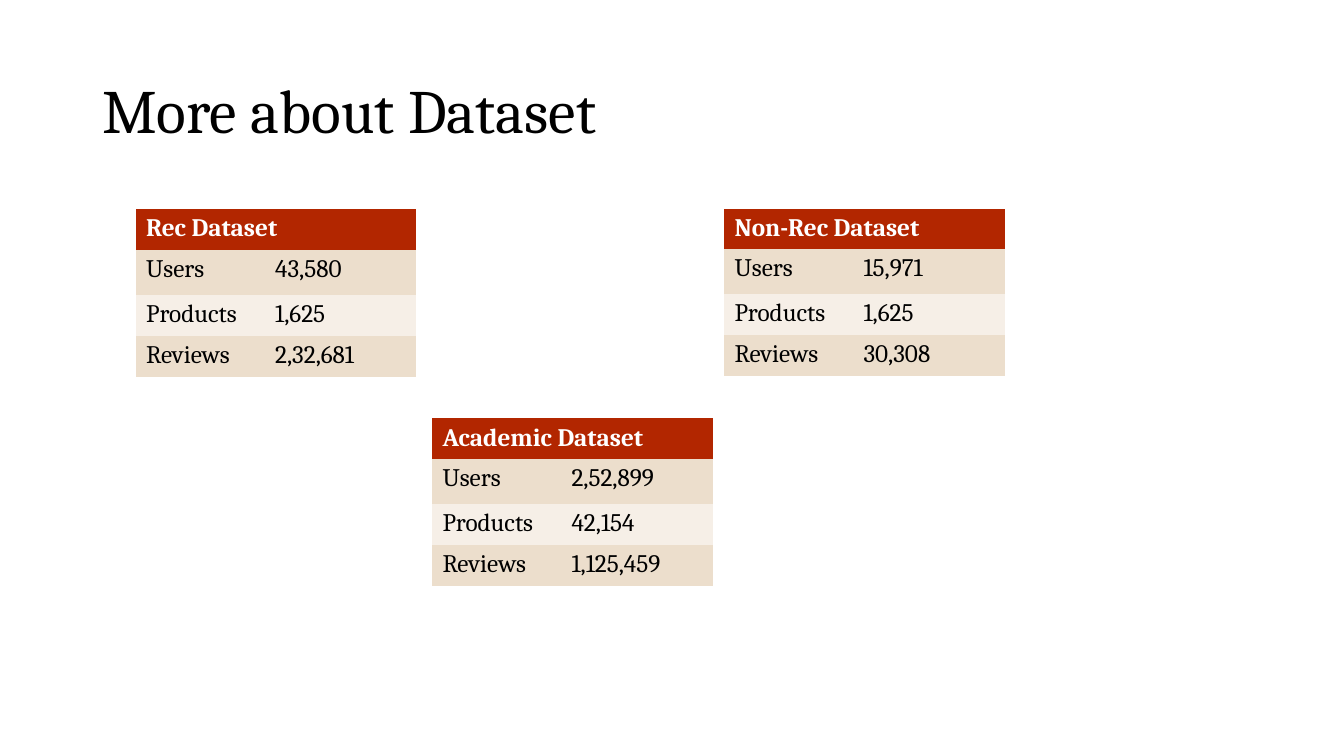
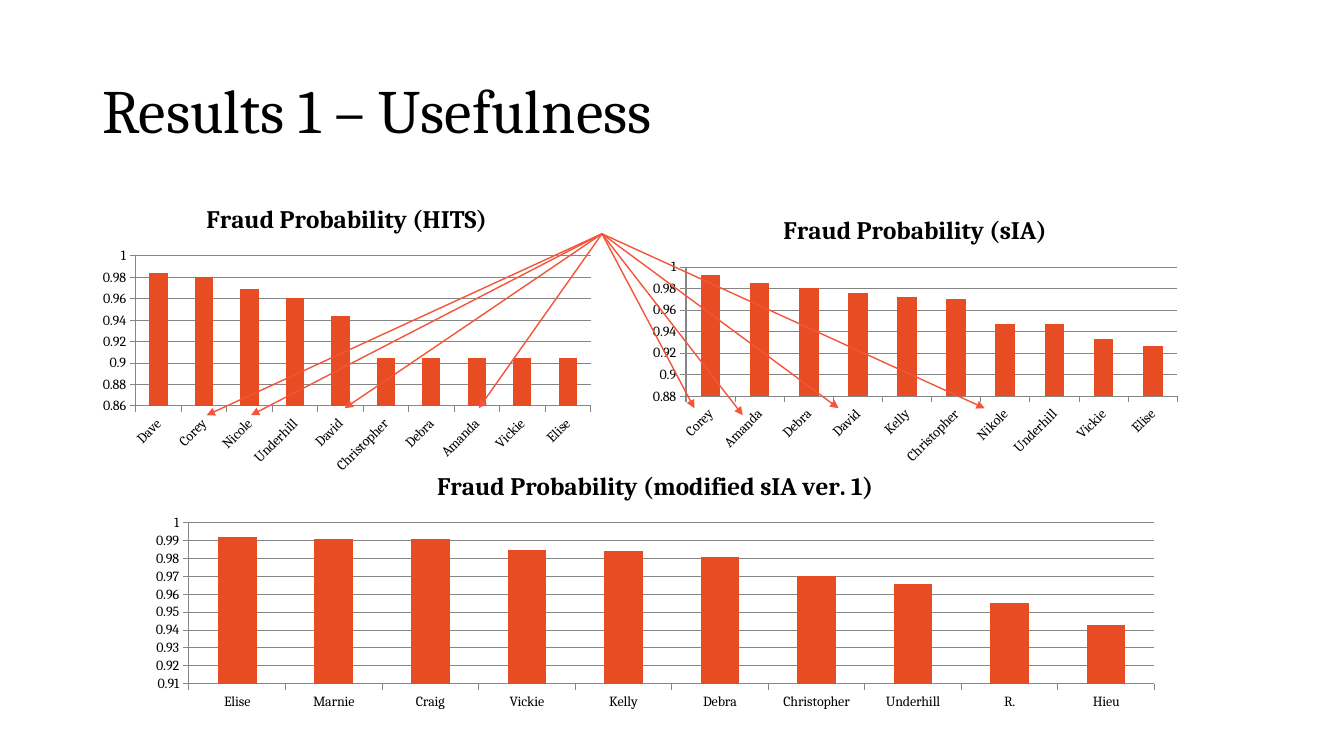
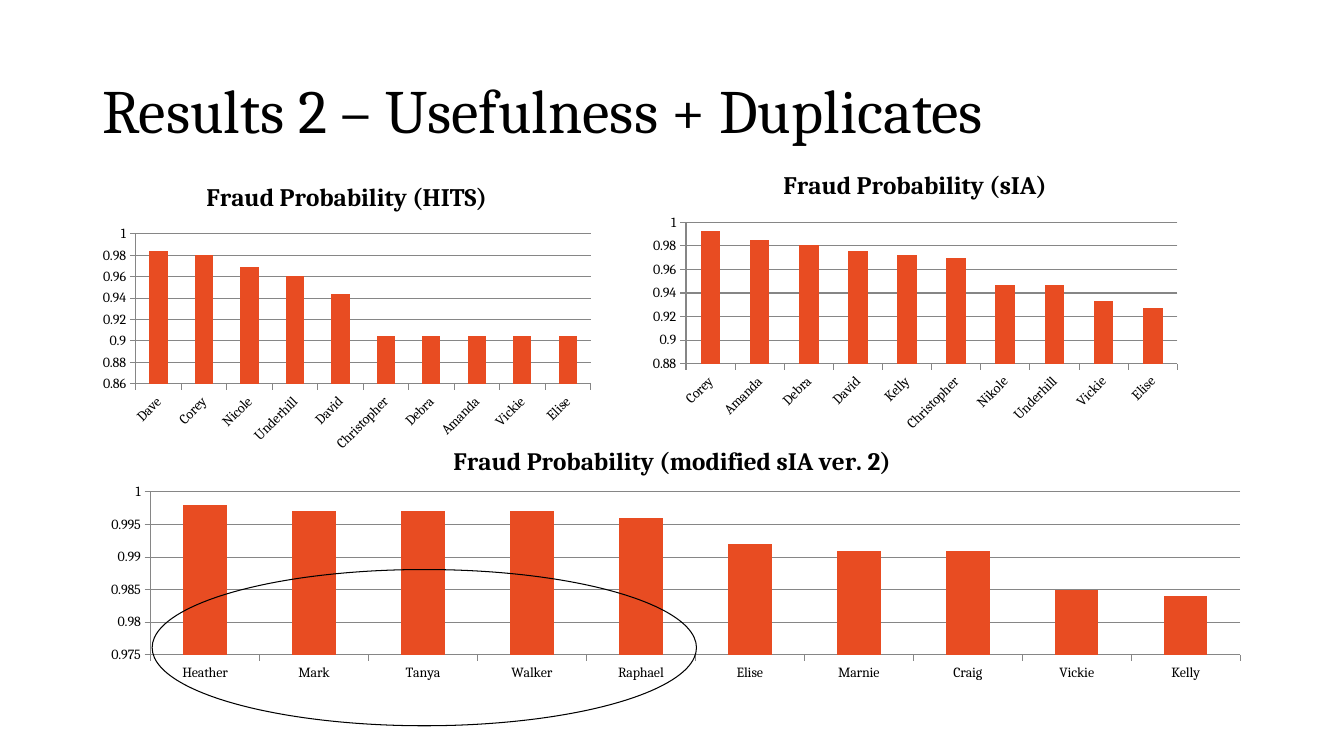
from lxml import etree
from pptx import Presentation
from pptx.chart.data import CategoryChartData
from pptx.dml.color import RGBColor
from pptx.enum.chart import XL_CHART_TYPE, XL_TICK_MARK
from pptx.enum.shapes import MSO_CONNECTOR, MSO_SHAPE
from pptx.enum.text import MSO_ANCHOR
from pptx.oxml.ns import qn
from pptx.util import Pt

COLUMN_CLUSTERED = XL_CHART_TYPE.COLUMN_CLUSTERED
TICK_OUTSIDE = XL_TICK_MARK.OUTSIDE
STRAIGHT = MSO_CONNECTOR.STRAIGHT
OVAL = MSO_SHAPE.OVAL
MIDDLE = MSO_ANCHOR.MIDDLE

color = RGBColor.from_string
FONT = "Cambria"
BLACK, WHITE = "000000", "FFFFFF"
HEADER_RED, BAND_DARK, BAND_LIGHT = "B22600", "ECDECC", "F6EFE7"
BAR_ORANGE, ARROW_ORANGE, AXIS_GRAY = "E84C22", "F45439", "868686"
PLAIN_TABLE_STYLE = "{2D5ABB26-0587-4C30-8999-92F81FD0307C}"

presentation = Presentation()
presentation.slide_width, presentation.slide_height = Pt(960), Pt(540)


def add_titled_slide(title):
    slide = presentation.slides.add_slide(presentation.slide_layouts[6])
    frame = slide.shapes.add_textbox(Pt(66), Pt(28.8), Pt(828), Pt(104.4)).text_frame
    frame.word_wrap = True
    frame.vertical_anchor = MIDDLE
    paragraph = frame.paragraphs[0]
    paragraph.text = title
    paragraph.line_spacing = 0.9
    paragraph.font.name, paragraph.font.size = FONT, Pt(44)
    paragraph.font.color.rgb = color(BLACK)
    return slide


def add_column_chart(slide, box, title, points, scale, slanted=False, plot_box=None):
    """Add a chart; scale is (minimum, step), plot_box is in fractions of the chart."""
    data = CategoryChartData()
    data.categories = list(points)
    data.add_series(title, points.values())
    frame = slide.shapes.add_chart(COLUMN_CLUSTERED, *map(Pt, box), data)
    chart = frame.chart
    chart.has_legend = False
    chart.font.name, chart.font.size = FONT, Pt(10)
    chart.font.color.rgb = color(BLACK)

    chart.has_title = True
    paragraph = chart.chart_title.text_frame.paragraphs[0]
    paragraph.text = title
    paragraph.font.name, paragraph.font.size, paragraph.font.bold = FONT, Pt(18), True
    paragraph.font.color.rgb = color(BLACK)

    plot = chart.plots[0]
    plot.gap_width = 150
    plot.vary_by_categories = False
    fill = plot.series[0].format.fill
    fill.solid()
    fill.fore_color.rgb = color(BAR_ORANGE)

    value_axis, category_axis = chart.value_axis, chart.category_axis
    value_axis.minimum_scale, value_axis.major_unit = scale
    value_axis.maximum_scale = 1
    value_axis.has_major_gridlines = True
    value_axis.tick_labels.number_format = "General"
    value_axis.tick_labels.number_format_is_linked = False
    for axis in (value_axis, category_axis):
        axis.major_tick_mark = TICK_OUTSIDE
    for part in (value_axis, category_axis, value_axis.major_gridlines):
        part.format.line.color.rgb = color(AXIS_GRAY)
        part.format.line.width = Pt(0.75)
    if slanted:
        category_axis.tick_labels.font.size = Pt(10)
        labels = category_axis.format.line._ln.getparent().getparent().find(qn("c:txPr"))
        labels.find(qn("a:bodyPr")).set("rot", "-2700000")
    if plot_box:
        plot_area = chart._chartSpace.chart.plotArea
        layout = plot_area.find(qn("c:layout"))
        if layout is None:
            layout = etree.Element(qn("c:layout"))
            plot_area.insert(0, layout)
        manual = etree.SubElement(layout, qn("c:manualLayout"))
        settings = [("layoutTarget", "inner"), ("xMode", "edge"), ("yMode", "edge")]
        settings += zip("xywh", map(str, plot_box))
        for name, value in settings:
            etree.SubElement(manual, qn("c:" + name)).set("val", value)


# Dataset tables
slide = add_titled_slide("More about Dataset")
datasets = [
    ("Academic Dataset", 308.9, 298.8, ("2,52,899", "42,154", "1,125,459")),
    ("Non-Rec Dataset", 517.5, 149, ("15,971", "1,625", "30,308")),
    ("Rec Dataset", 97.2, 149.4, ("43,580", "1,625", "2,32,681")),
]
column_widths = (92.2, 108)
row_heights = (29, 32.2, 29.2, 29.2)
for name, left, top, counts in datasets:
    frame = slide.shapes.add_table(
        4, 2, Pt(left), Pt(top), Pt(sum(column_widths)), Pt(sum(row_heights)))
    table = frame.table
    table._tbl.tblPr.find(qn("a:tableStyleId")).text = PLAIN_TABLE_STYLE
    for column, width in zip(table.columns, column_widths):
        column.width = Pt(width)
    rows = [(name, ""), *zip(("Users", "Products", "Reviews"), counts)]
    fills = (HEADER_RED, BAND_DARK, BAND_LIGHT, BAND_DARK)
    for index, texts in enumerate(rows):
        table.rows[index].height = Pt(row_heights[index])
        for cell, text in zip(table.rows[index].cells, texts):
            cell.fill.solid()
            cell.fill.fore_color.rgb = color(fills[index])
            cell.text = text
            font = cell.text_frame.paragraphs[0].font
            font.name, font.size, font.bold = FONT, Pt(18), index == 0
            font.color.rgb = color(BLACK if index else WHITE)
    table.cell(0, 0).merge(table.cell(0, 1))

# Fraud probabilities by method
hits = {"Dave": 0.984, "Corey": 0.98, "Nicole": 0.969, "Underhill": 0.961,
        "David": 0.944, "Christopher": 0.905, "Debra": 0.905, "Amanda": 0.905,
        "Vickie": 0.905, "Elise": 0.905}
sia = {"Corey": 0.993, "Amanda": 0.985, "Debra": 0.981, "David": 0.976,
       "Kelly": 0.972, "Christopher": 0.97, "Nikole": 0.947, "Underhill": 0.947,
       "Vickie": 0.933, "Elise": 0.927}
modified_1 = {"Elise": 0.992, "Marnie": 0.991, "Craig": 0.991, "Vickie": 0.985,
              "Kelly": 0.984, "Debra": 0.981, "Christopher": 0.97,
              "Underhill": 0.966, "R.": 0.955, "Hieu": 0.943}
modified_2 = {"Heather": 0.998, "Mark": 0.997, "Tanya": 0.997, "Walker": 0.997,
              "Raphael": 0.996, "Elise": 0.992, "Marnie": 0.991, "Craig": 0.991,
              "Vickie": 0.985, "Kelly": 0.984}
HITS_CHART = ("Fraud Probability (HITS)", hits, (0.86, 0.02), True)
SIA_CHART = ("Fraud Probability (sIA)", sia, (0.88, 0.02), True)

# Results 1
slide = add_titled_slide("Results 1 – Usefulness")
add_column_chart(slide, (66.2, 133.2, 362.9, 209.5), *HITS_CHART)
add_column_chart(slide, (458.6, 141.8, 390.2, 193.7), *SIA_CHART)
add_column_chart(slide, (96.5, 324.7, 743, 185.8),
                 "Fraud Probability (modified sIA ver. 1)", modified_1, (0.91, 0.01))
arrow_tips = [(496, 291.6), (530.6, 296.6), (599, 291.6), (703.4, 291.6),
              (147.6, 296.6), (179.3, 296.6), (246.2, 291.6), (342, 291.6)]
for x, y in arrow_tips:
    arrow = slide.shapes.add_connector(STRAIGHT, Pt(430), Pt(167), Pt(x), Pt(y))
    arrow.line.color.rgb = color(ARROW_ORANGE)
    arrow.line.width = Pt(1)
    etree.SubElement(arrow.line._ln, qn("a:tailEnd")).set("type", "triangle")
    etree.SubElement(arrow._element.spPr, qn("a:effectLst"))

# Results 2
slide = add_titled_slide("Results 2 – Usefulness + Duplicates")
add_column_chart(slide, (66.2, 306.7, 828, 179.3),
                 "Fraud Probability (modified sIA ver. 2)", modified_2, (0.975, 0.005),
                 plot_box=(0.05, 0.25, 0.94, 0.65))
add_column_chart(slide, (66.2, 117.4, 362.9, 209.5), *HITS_CHART)
add_column_chart(slide, (458.6, 109.4, 390.2, 203), *SIA_CHART)
highlight = slide.shapes.add_shape(OVAL, Pt(108.7), Pt(406.8), Pt(388.8), Pt(111.6))
highlight.shadow.inherit = False
highlight.fill.background()
highlight.line.color.rgb = color(BLACK)
highlight.line.width = Pt(0.75)

presentation.save("out.pptx")
